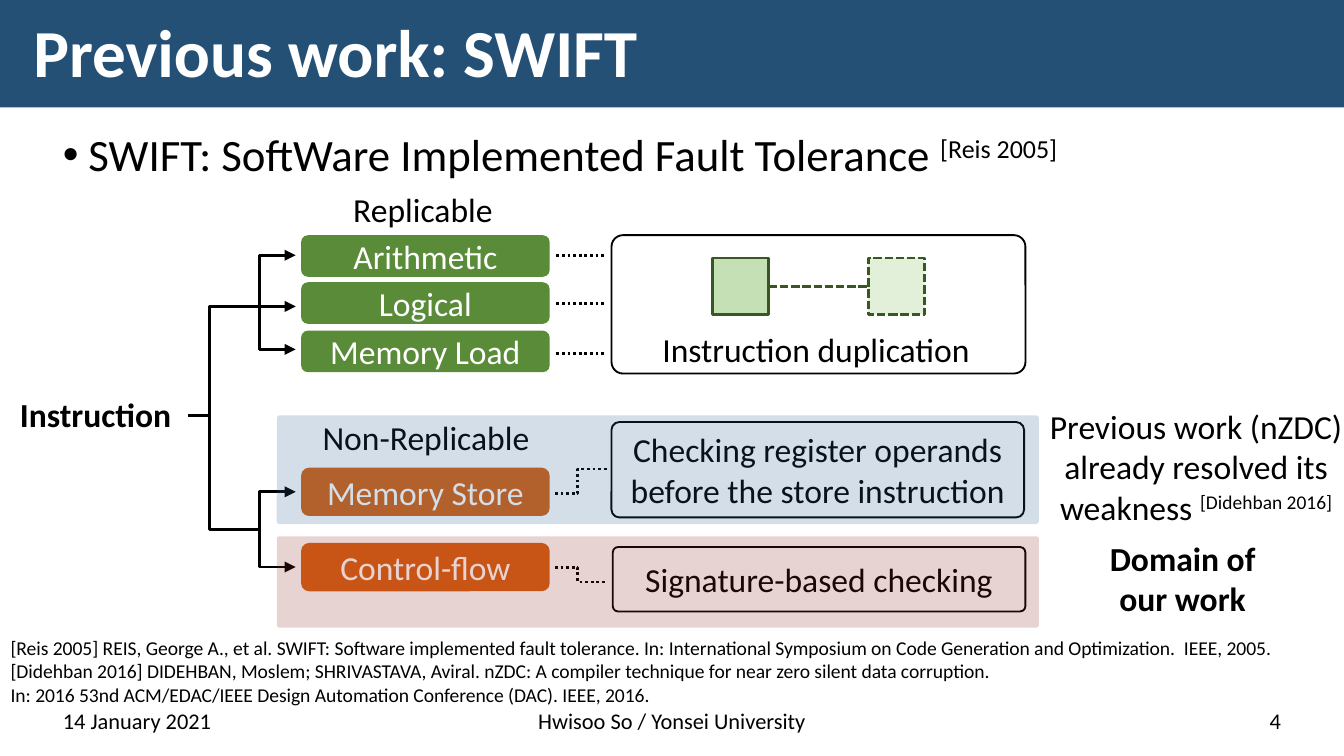
from lxml.etree import SubElement
from pptx import Presentation
from pptx.dml.color import RGBColor
from pptx.enum.dml import MSO_LINE as DASH
from pptx.enum.shapes import MSO_CONNECTOR, MSO_SHAPE as SHAPE
from pptx.enum.text import MSO_ANCHOR as ANCHOR, PP_ALIGN as ALIGN
from pptx.oxml.ns import qn
from pptx.util import Inches, Pt

COLORS = {
    "black": "000000", "white": "FFFFFF", "banner": "255076",
    "replicable": "5A8B39", "non_replicable": "D76213",
    "copy_line": "385723", "first_copy": "C5E0B4", "second_copy": "E2F0D9",
    "solved": "235D91", "ours": "902424",
}

# Content
TITLE = "Previous work: SWIFT"
HEADLINE = ("SWIFT: SoftWare Implemented Fault Tolerance ", "[Reis 2005]")
FOOTERS = [  # text, left, width, alignment
    ("14 January 2021", 0.37, 2.57, ALIGN.LEFT),
    ("Hwisoo So / Yonsei University", 3.31, 3.38, ALIGN.CENTER),
    ("4", 7.06, 2.57, ALIGN.RIGHT),
]
REFERENCES = [
    "[Reis 2005] REIS, George A., et al. SWIFT: Software implemented fault tolerance. "
    "In: International Symposium on Code Generation and Optimization.  IEEE, 2005.",
    "[Didehban 2016] DIDEHBAN, Moslem; SHRIVASTAVA, Aviral. nZDC: A compiler technique "
    "for near zero silent data corruption. \n"
    "In: 2016 53nd ACM/EDAC/IEEE Design Automation Conference (DAC). IEEE, 2016.",
]
KINDS = [  # text, top, height, colour
    ("Arithmetic", 1.75, 0.31, "replicable"),
    ("Logical", 2.1, 0.31, "replicable"),
    ("Memory Load", 2.46, 0.31, "replicable"),
    ("Memory Store", 3.48, 0.36, "non_replicable"),
    ("Control-flow", 4.04, 0.36, "non_replicable"),
]
DUPLICATION_LINKS = [1.9, 2.26, 2.63]  # y of each dotted link
CHECKS = [  # text, box, dotted link start y, link end y
    ("Checking register operands\nbefore the store instruction",
     (4.55, 3.14, 3.07, 0.71), 3.67, 3.49),
    ("Signature-based checking", (4.56, 4.07, 3.07, 0.48), 4.22, 4.33),
]
LABELS = [  # text, box, bold, alignment, citation
    ("Replicable", (2.53, 1.36, 1.25, 0.4), False, ALIGN.LEFT, ""),
    ("Instruction", (0.05, 2.88, 1.34, 0.4), True, ALIGN.LEFT, ""),
    ("Instruction duplication", (4.83, 2.4, 2.52, 0.4), False, ALIGN.LEFT, ""),
    ("Non-Replicable", (2.29, 3.05, 1.76, 0.4), False, ALIGN.CENTER, ""),
    ("Previous work (nZDC)\nalready resolved its\nweakness ",
     (7.69, 2.97, 2.42, 1.31), False, ALIGN.CENTER, "[Didehban 2016]"),
    ("Domain of\nour work", (8.15, 3.95, 1.3, 0.71), True, ALIGN.CENTER, ""),
]
PANELS = [("solved", 3.09, 0.81), ("ours", 3.99, 0.68)]  # colour, top, height

# Layout
KIND_LEFT, KIND_WIDTH = 2.24, 1.85
ROOT_X, ROOT_Y, TRUNK_X, BRANCH_X, ARROW_X = 1.4, 3.09, 1.56, 1.93, 2.2
BRANCHES = [(2.28, 1.9, 0.7), (3.94, 3.66, 0.56)]  # trunk y, bracket top, height

prs = Presentation()
prs.slide_width, prs.slide_height = Inches(10), Inches(10 * 9 / 16)
shapes = prs.slides.add_slide(prs.slide_layouts[6]).shapes


def rgb(name):
    return RGBColor.from_string(COLORS[name])


def write(tf, text, size=18, color="black", bold=False, align=ALIGN.CENTER,
          anchor=ANCHOR.MIDDLE, wrap=True, cite=""):
    """Fill a frame; a list gives paragraphs, a newline gives a line break."""
    tf.word_wrap, tf.vertical_anchor = wrap, anchor
    for i, para in enumerate(text if isinstance(text, list) else [text]):
        p = tf.add_paragraph() if i else tf.paragraphs[0]
        p.alignment = align
        for j, line in enumerate(para.split("\n")):
            if j:
                p.add_line_break()
            p.add_run().text = line
        if cite:
            r = p.add_run()
            r.text = cite
            r._r.get_or_add_rPr().set("baseline", "30000")
        for r in p.runs:
            r.font.name, r.font.size, r.font.bold = "Calibri", Pt(size), bold
            r.font.color.rgb = rgb(color)
    return tf.paragraphs[0]


def add_text(text, box, **fmt):
    return write(shapes.add_textbox(*map(Inches, box)).text_frame, text, **fmt)


def set_line(s, color="black", width=1.5, dash=None, arrows=()):
    s.line.color.rgb, s.line.width = rgb(color), Pt(width)
    if dash:
        s.line.dash_style = dash
    for end in arrows:
        SubElement(s.line._get_or_add_ln(), qn("a:" + end), type="triangle")


def add_box(kind, box, fill=None, line=None, adj=None, **line_fmt):
    s = shapes.add_shape(kind, *map(Inches, box))
    s.shadow.inherit = False
    if adj is not None:
        s.adjustments[0] = adj
    if fill:
        s.fill.solid()
        s.fill.fore_color.rgb = rgb(fill)
    else:
        s.fill.background()
    if line:
        set_line(s, line, **line_fmt)
    else:
        s.line.fill.background()
    return s


def add_line(x1, y1, x2, y2, **fmt):
    s = shapes.add_connector(MSO_CONNECTOR.STRAIGHT, *map(Inches, (x1, y1, x2, y2)))
    set_line(s, **fmt)
    SubElement(s._element.spPr, qn("a:effectLst"))
    return s


def add_step(x1, y1, x2, y2, bend, **fmt):
    """Draw a right-angled link that turns at x = bend."""
    points = [(Inches(x), Inches(y)) for x, y in ((bend, y1), (bend, y2), (x2, y2))]
    builder = shapes.build_freeform(Inches(x1), Inches(y1))
    s = builder.add_line_segments(points, close=False).convert_to_shape()
    s.shadow.inherit = False
    s.fill.background()
    set_line(s, **fmt)


# Banner, headline and footers
add_box(SHAPE.RECTANGLE, (0, 0, 10, 0.8), "banner")
p = add_text(HEADLINE[0], (0.37, 0.94, 9.26, 3.95), size=24, align=ALIGN.LEFT,
             anchor=ANCHOR.TOP, cite=HEADLINE[1])
p.line_spacing = 0.9
pPr = p._p.get_or_add_pPr()
pPr.set("marL", str(Inches(0.19)))
pPr.set("indent", str(-Inches(0.19)))
SubElement(pPr, qn("a:buFont"), typeface="Arial")
SubElement(pPr, qn("a:buChar"), char="•")
add_text(TITLE, (0.15, 0.1, 9.7, 0.63), size=36, color="white", bold=True,
         align=ALIGN.LEFT, wrap=False).line_spacing = 0.9
for text, left, width, align in FOOTERS:
    add_text(text, (left, 5.21, width, 0.3), size=12, align=align, anchor=ANCHOR.BOTTOM)

# Instruction kinds
for text, top, height, color in KINDS:
    s = add_box(SHAPE.ROUNDED_RECTANGLE, (KIND_LEFT, top, KIND_WIDTH, height), color)
    write(s.text_frame, text, color="white")

# Tree from the instruction to its kinds
for trunk_y, top, height in BRANCHES:
    add_step(ROOT_X, ROOT_Y, BRANCH_X, trunk_y, TRUNK_X)
    add_box(SHAPE.LEFT_BRACKET, (BRANCH_X, top, ARROW_X - BRANCH_X, height),
            line="black", adj=0, arrows=("headEnd", "tailEnd"))
add_line(BRANCH_X, 2.28, ARROW_X, 2.28, arrows=("tailEnd",))

# Instruction duplication
first = add_box(SHAPE.RECTANGLE, (5.3, 1.92, 0.42, 0.42), "first_copy", "copy_line")
second = add_box(SHAPE.RECTANGLE, (6.46, 1.92, 0.42, 0.42), "second_copy", "copy_line",
                 dash=DASH.SQUARE_DOT)
link = add_line(5.72, 2.13, 6.46, 2.13, color="copy_line", dash=DASH.SQUARE_DOT)
link.begin_connect(first, 3)
link.end_connect(second, 1)
add_box(SHAPE.ROUNDED_RECTANGLE, (4.55, 1.75, 3.08, 1.03), line="black", adj=0.083, width=1)
for y in DUPLICATION_LINKS:
    add_line(4.14, y, 4.51, y, dash=DASH.ROUND_DOT)

# Checks
for text, box, start_y, end_y in CHECKS:
    s = add_box(SHAPE.ROUNDED_RECTANGLE, box, line="black", adj=0.083, width=1)
    write(s.text_frame, text, wrap=False)
    add_step(4.13, start_y, 4.52, end_y, 4.3, dash=DASH.ROUND_DOT)

# Labels
for text, box, bold, align, cite in LABELS:
    add_text(text, box, bold=bold, align=align, anchor=ANCHOR.TOP, wrap=False, cite=cite)

# Translucent panels over the non-replicable rows
for color, top, height in PANELS:
    s = add_box(SHAPE.ROUNDED_RECTANGLE, (2.06, top, 5.67, height), color, adj=0.029)
    fill = s._element.spPr.find(qn("a:solidFill"))
    SubElement(fill[0], qn("a:alpha"), val="20000")

# References
add_text(REFERENCES, (-0.02, 4.68, 9.78, 0.63), size=10.5, align=ALIGN.LEFT,
         anchor=ANCHOR.TOP, wrap=False)

prs.save("out.pptx")
